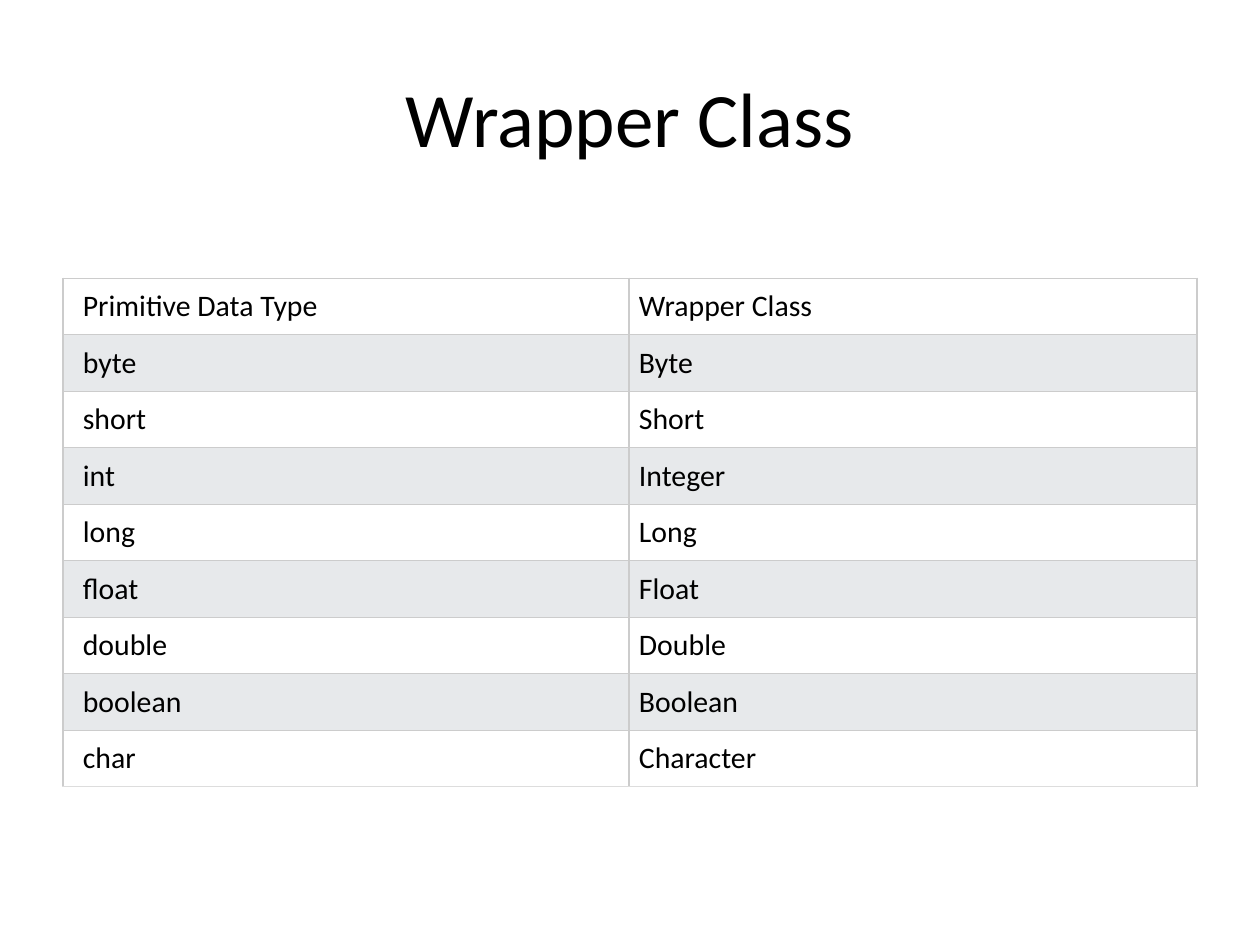
import pptx
import pptx.dml.color
import pptx.enum.text
import pptx.oxml
import pptx.oxml.ns
import pptx.util
from dataclasses import dataclass

Cm = pptx.util.Cm


@dataclass(frozen=True)
class Theme:
    font: str = "Calibri"
    text: str = "000000"
    plain: str = "FFFFFF"
    band: str = "E7E9EB"
    border: str = "CCCCCC"
    bottom_border: str = "DDDDDD"
    title_size: float = 44
    table_size: float = 17
    border_width: float = 0.75


theme = Theme()


def add_span(para, text, size):
    span = para.add_run()
    span.text = text
    span.font.name = theme.font
    span.font.size = pptx.util.Pt(size)
    span.font.color.rgb = pptx.dml.color.RGBColor.from_string(theme.text)


def add_border(cell, side, color):
    width = pptx.util.Pt(theme.border_width)
    cell_properties = cell._tc.get_or_add_tcPr()
    cell_properties.append(pptx.oxml.parse_xml(
        f'<a:ln{side} {pptx.oxml.ns.nsdecls("a")} w="{width}">'
        f'<a:solidFill><a:srgbClr val="{color}"/></a:solidFill></a:ln{side}>'
    ))


deck = pptx.Presentation()
deck.slide_width = Cm(25.4)
deck.slide_height = Cm(19.05)
slide = deck.slides.add_slide(deck.slide_layouts[5])

title = slide.shapes.title
title.left, title.top = Cm(1.27), Cm(0.76)
title.width, title.height = Cm(22.86), Cm(3.18)
title.text_frame.vertical_anchor = pptx.enum.text.MSO_ANCHOR.MIDDLE
title_para = title.text_frame.paragraphs[0]
title_para.alignment = pptx.enum.text.PP_ALIGN.CENTER
add_span(title_para, "Wrapper Class", theme.title_size)

type_pairs = [
    ("Primitive Data Type", "Wrapper Class"),
    ("byte", "Byte"),
    ("short", "Short"),
    ("int", "Integer"),
    ("long", "Long"),
    ("float", "Float"),
    ("double", "Double"),
    ("boolean", "Boolean"),
    ("char", "Character"),
]
column_widths = [Cm(11.41), Cm(11.45)]
left_margins = [Cm(0.4), Cm(0.2)]
cell_margin = Cm(0.2)
row_height = Cm(1.14)

table = slide.shapes.add_table(
    len(type_pairs), len(column_widths), Cm(1.27), Cm(5.61),
    sum(column_widths), row_height * len(type_pairs),
).table
table.first_row = False
table.horz_banding = False
for column, width in zip(table.columns, column_widths):
    column.width = width

for row_index, pair in enumerate(type_pairs):
    table.rows[row_index].height = row_height
    is_last = row_index == len(type_pairs) - 1
    fill_color = theme.band if row_index % 2 else theme.plain
    for column_index, text in enumerate(pair):
        cell = table.cell(row_index, column_index)
        cell.margin_left = left_margins[column_index]
        cell.margin_right = cell.margin_top = cell.margin_bottom = cell_margin
        for side in "LRTB":
            is_bottom_edge = is_last and side == "B"
            add_border(cell, side, theme.bottom_border if is_bottom_edge else theme.border)
        cell.fill.solid()
        cell.fill.fore_color.rgb = pptx.dml.color.RGBColor.from_string(fill_color)
        add_span(cell.text_frame.paragraphs[0], text, theme.table_size)

deck.save("out.pptx")
